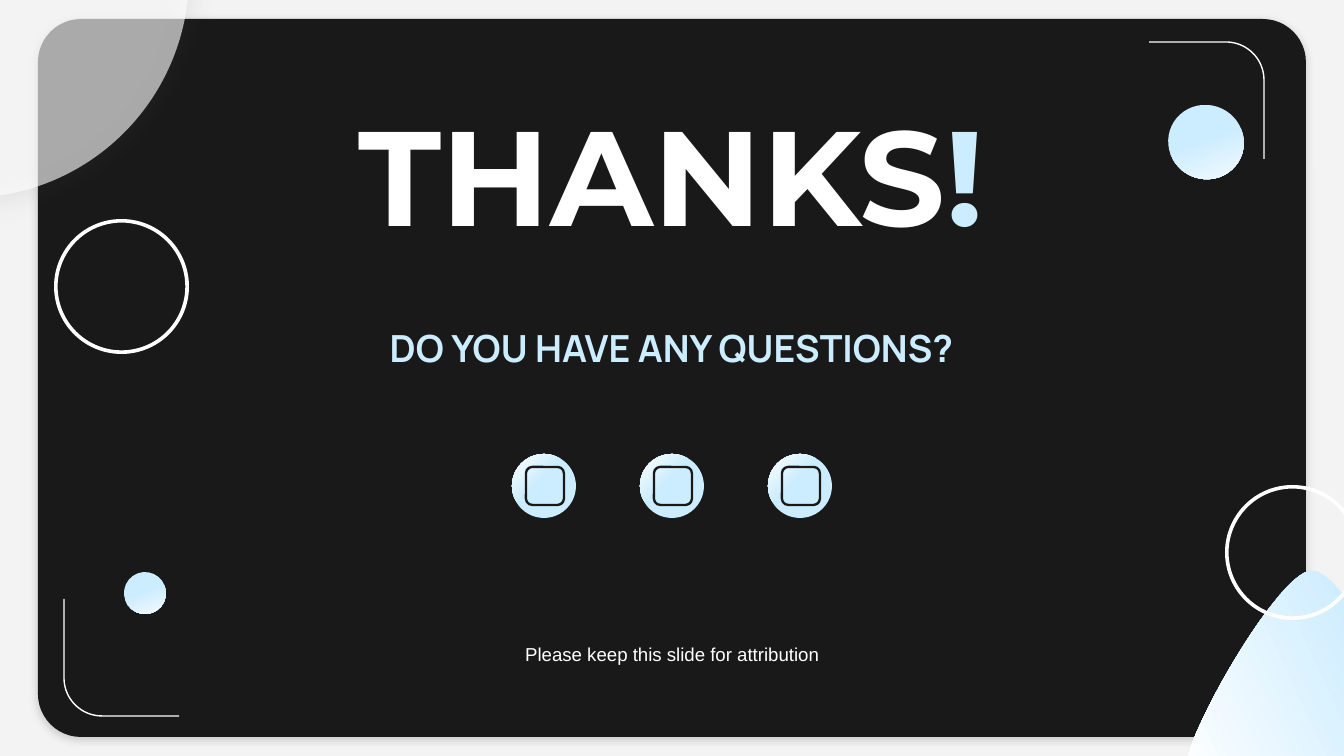
from dataclasses import dataclass

from lxml import etree
from pptx import Presentation
from pptx.dml.color import RGBColor
from pptx.enum.shapes import MSO_SHAPE
from pptx.enum.text import MSO_ANCHOR, PP_ALIGN
from pptx.oxml.ns import qn
from pptx.util import Emu, Pt

ELLIPSE = MSO_SHAPE.OVAL
DONUT = MSO_SHAPE.DONUT
ROUNDED = MSO_SHAPE.ROUNDED_RECTANGLE
TOP, MIDDLE = MSO_ANCHOR.TOP, MSO_ANCHOR.MIDDLE
CENTER = PP_ALIGN.CENTER

PAPER = RGBColor(0xF3, 0xF3, 0xF3)
INK = RGBColor(0x19, 0x19, 0x19)
WHITE = RGBColor(0xFF, 0xFF, 0xFF)
ICE = RGBColor(0xCC, 0xEC, 0xFF)
BLACK = RGBColor(0, 0, 0)
GRAY = RGBColor(0x59, 0x59, 0x59)

WIDTH, HEIGHT = 1344, 756
SCALE = 9144000 / WIDTH
GRADIENT_ANGLE = 135
INSET = 13

Point = tuple[float, float]


@dataclass(frozen=True)
class Box:
    left: int
    top: int
    width: int
    height: int


@dataclass(frozen=True)
class Shadow:
    color: RGBColor
    opacity: int
    blur_pt: float
    distance_pt: float
    angle: int


@dataclass(frozen=True)
class Caption:
    box: Box
    runs: tuple[tuple[str, RGBColor], ...]
    font: str
    size: int
    bold: bool
    anchor: int


RINGS = (Box(1225, 485, 135, 135), Box(54, 219, 135, 135))
BUBBLES = (Box(124, 572, 42, 42), Box(1168, 105, 76, 74))
BADGES = tuple(Box(512 + 128 * i, 454, 64, 64) for i in range(3))

CAPTIONS = (
    Caption(Box(345, 79, 653, 191), (("THANKS", WHITE), ("!", ICE)), "Montserrat", 72, True, TOP),
    Caption(Box(345, 270, 653, 156), (("DO YOU HAVE ANY QUESTIONS?", ICE),), "Manrope", 20, True, MIDDLE),
    Caption(Box(367, 632, 610, 38), (("Please keep this slide for attribution", WHITE),), "Arial", 10, False, TOP),
)


def px(length: float) -> Emu:
    return Emu(round(length * SCALE))


def add_preset(slide, kind, box: Box, color: RGBColor | None = None):
    shape = slide.shapes.add_shape(kind, px(box.left), px(box.top), px(box.width), px(box.height))
    shape.shadow.inherit = False
    shape.line.fill.background()
    if color is not None:
        shape.fill.solid()
        shape.fill.fore_color.rgb = color
    return shape


def fill_gradient(shape, blue_until: float, angle: int = GRADIENT_ANGLE) -> None:
    shape.fill.gradient()
    shape.fill.gradient_angle = angle
    for stop, position, color in zip(shape.fill.gradient_stops, (blue_until, 1), (ICE, WHITE)):
        stop.position = position
        stop.color.rgb = color


def set_opacity(color_parent, percent: int) -> None:
    color = color_parent.find(qn("a:srgbClr"))
    etree.SubElement(color, qn("a:alpha")).set("val", str(percent * 1000))


def cast_shadow(shape, shadow: Shadow) -> None:
    effects = shape.element.spPr.find(qn("a:effectLst"))
    outer = etree.SubElement(effects, qn("a:outerShdw"))
    outer.set("blurRad", str(Pt(shadow.blur_pt)))
    outer.set("dist", str(Pt(shadow.distance_pt)))
    outer.set("dir", str(shadow.angle * 60000))
    outer.set("algn", "bl")
    outer.set("rotWithShape", "0")
    etree.SubElement(outer, qn("a:srgbClr")).set("val", str(shadow.color))
    set_opacity(outer, shadow.opacity)


def curve(start: Point, pull_a: Point, pull_b: Point, end: Point, steps: int = 24) -> list[Point]:
    """Points along a cubic curve, without its start."""
    points = []
    for step in range(1, steps + 1):
        t = step / steps
        weights = ((1 - t) ** 3, 3 * t * (1 - t) ** 2, 3 * t * t * (1 - t), t ** 3)
        corners = (start, pull_a, pull_b, end)
        points.append((sum(w * c[0] for w, c in zip(weights, corners)),
                       sum(w * c[1] for w, c in zip(weights, corners))))
    return points


def add_outline(slide, points: list[Point], close: bool):
    emu_points = [(px(x), px(y)) for x, y in points]
    builder = slide.shapes.build_freeform(*emu_points[0], scale=1.0)
    builder.add_line_segments(emu_points[1:], close=close)
    shape = builder.convert_to_shape()
    shape.shadow.inherit = False
    return shape


def add_bracket(slide, points: list[Point]) -> None:
    bracket = add_outline(slide, points, close=False)
    bracket.fill.background()
    bracket.line.color.rgb = WHITE
    bracket.line.width = Pt(0.75)


def add_caption(slide, caption: Caption) -> None:
    box = caption.box
    frame = slide.shapes.add_textbox(px(box.left), px(box.top), px(box.width), px(box.height)).text_frame
    frame.word_wrap = True
    frame.vertical_anchor = caption.anchor
    frame.margin_left = frame.margin_right = frame.margin_top = frame.margin_bottom = px(INSET)
    paragraph = frame.paragraphs[0]
    paragraph.alignment = CENTER
    for text, color in caption.runs:
        run = paragraph.add_run()
        run.text = text
        run.font.name = caption.font
        run.font.size = Pt(caption.size)
        run.font.bold = caption.bold
        run.font.color.rgb = color


def main() -> None:
    prs = Presentation()
    prs.slide_width, prs.slide_height = px(WIDTH), px(HEIGHT)
    slide = prs.slides.add_slide(prs.slide_layouts[6])
    slide.background.fill.solid()
    slide.background.fill.fore_color.rgb = PAPER

    # Dark panel and translucent corner disc
    panel = add_preset(slide, ROUNDED, Box(38, 19, 1268, 718), INK)
    panel.adjustments[0] = 0.06
    cast_shadow(panel, Shadow(BLACK, 17, 4.5, 1.5, 90))
    disc = add_preset(slide, ELLIPSE, Box(-256, -247, 445, 445), WHITE)
    set_opacity(disc.element.spPr.find(qn("a:solidFill")), 62)
    cast_shadow(disc, Shadow(GRAY, 19, 14.6, 2.2, 74))

    # Pale hill in the lower right corner
    foot, right, peak = (1184, 785), (1392, 743), (1309, 571)
    hill = add_outline(slide, [foot,
                               *curve(foot, (1198, 814), (1372, 780), right),
                               *curve(right, (1413, 708), (1343, 564), peak),
                               *curve(peak, (1274, 578), (1171, 757), foot)], close=True)
    fill_gradient(hill, 0.15, angle=205)
    hill.line.fill.background()

    # Rings and bubbles
    for box in RINGS:
        add_preset(slide, DONUT, box, WHITE).adjustments[0] = 0.027
    for box in BUBBLES:
        bubble = add_preset(slide, ELLIPSE, box)
        fill_gradient(bubble, 0.47)
        bubble.rotation = 204.8

    # Contact badges, each with a plain symbol
    for box in BADGES:
        fill_gradient(add_preset(slide, ELLIPSE, box), 0.57)
        symbol = add_preset(slide, ROUNDED, Box(box.left + 14, box.top + 13, 38, 38))
        symbol.fill.background()
        symbol.line.color.rgb = INK
        symbol.line.width = Pt(1.25)

    for caption in CAPTIONS:
        add_caption(slide, caption)

    # Corner brackets, the lower one turned by half a circle
    upper = [(1149, 42), (1226, 42),
             *curve((1226, 42), (1247, 42), (1264, 59), (1264, 80)), (1264, 159)]
    add_bracket(slide, upper)
    add_bracket(slide, [(1328 - x, 758 - y) for x, y in upper])

    prs.save("out.pptx")


if __name__ == "__main__":
    main()
